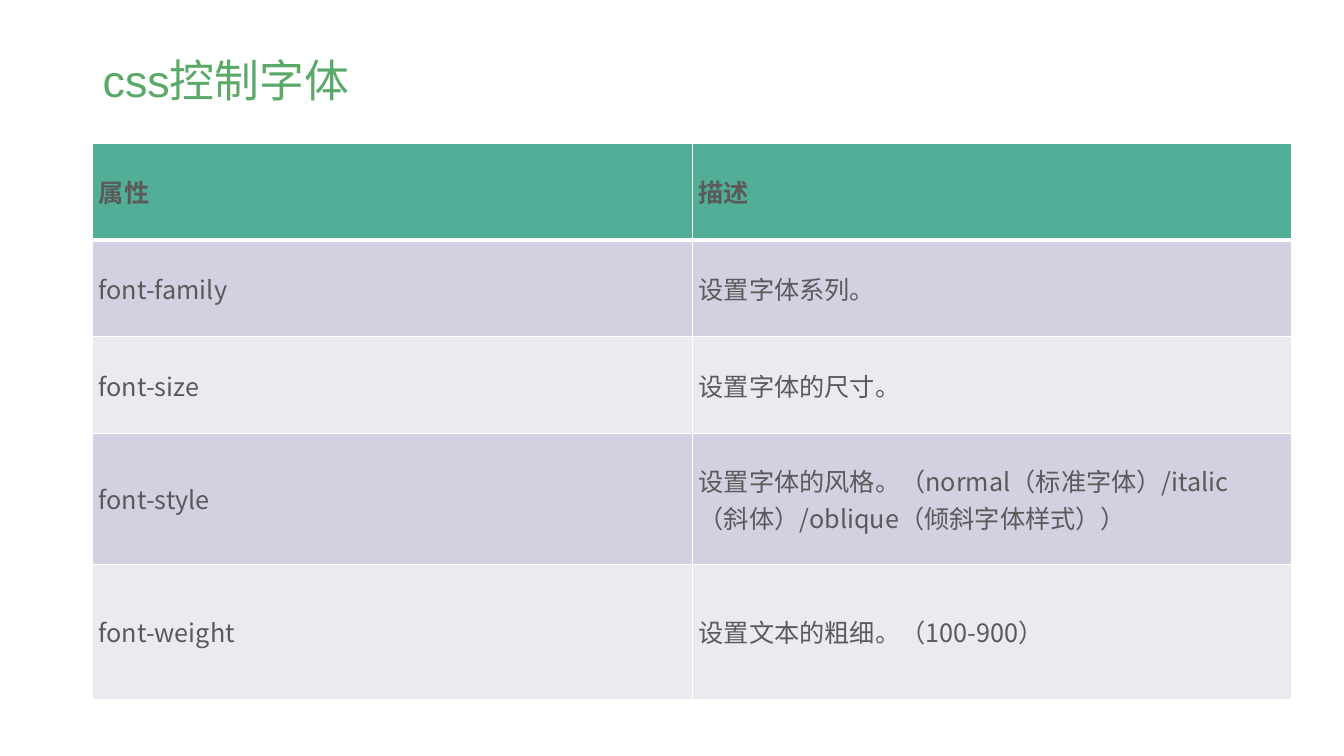
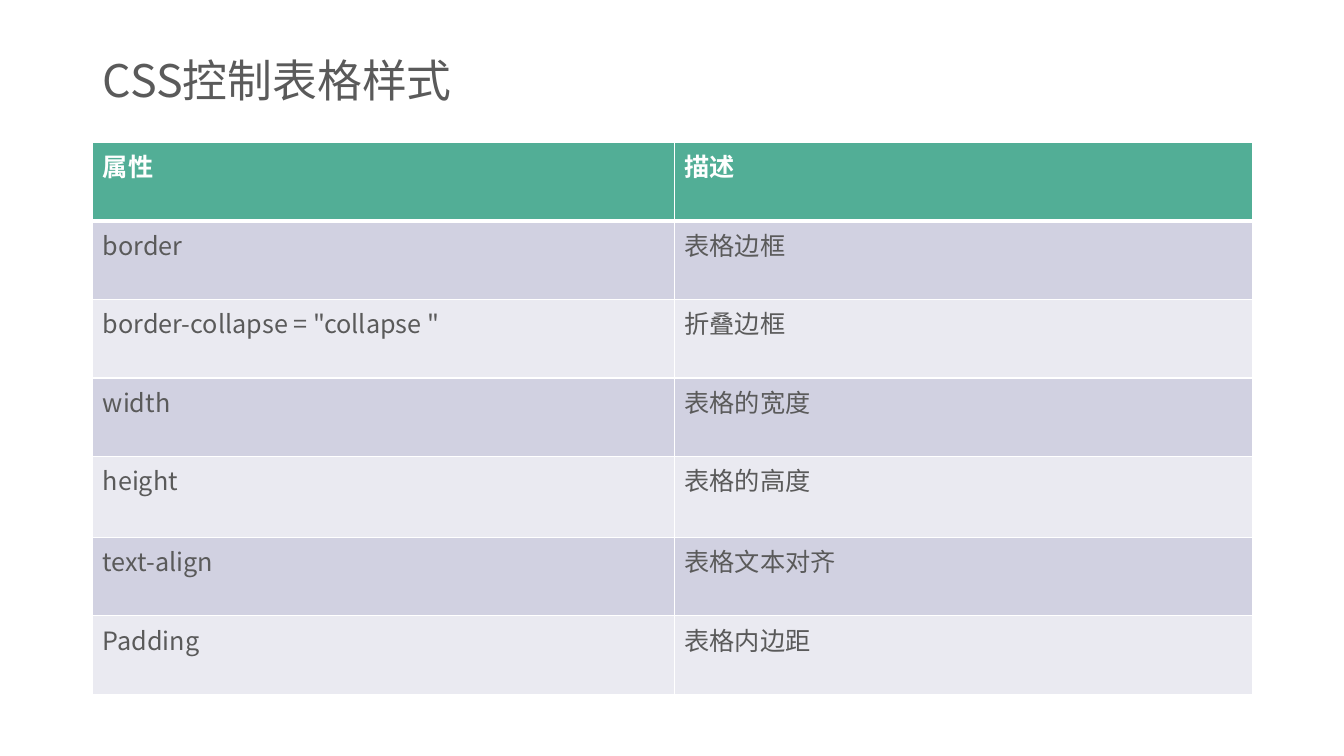
from lxml import etree
from pptx import Presentation
from pptx import util as u
from pptx.dml.color import RGBColor
from pptx.enum import text
from pptx.oxml import ns

PX = 9144
SANS = "Noto Sans CJK SC"
GREEN, TEAL, GREY, WHITE = "5BA968", "52AE96", "5A5A5A", "FFFFFF"
BANDS = ("D1D1E1", "EAEAF1")
LEFT = 92
TITLE_AREA = (LEFT, 40, 1150, 85)

FONT_ROWS = [
    ("属性", "描述"),
    ("font-family", "设置字体系列。"),
    ("font-size", "设置字体的尺寸。"),
    ("font-style", "设置字体的风格。（normal（标准字体）/italic（斜体）/oblique（倾斜字体样式））"),
    ("font-weight", "设置文本的粗细。（100-900）"),
]
TABLE_ROWS = [
    ("属性", "描述"),
    ("border", "表格边框"),
    ("border-collapse = \"collapse \"", "折叠边框"),
    ("width", "表格的宽度"),
    ("height", "表格的高度"),
    ("text-align", "表格文本对齐"),
    ("Padding", "表格内边距"),
]


def px(*lengths):
    return [u.Emu(length * PX) for length in lengths]


def color(value):
    return RGBColor.from_string(value)


def set_all(target, values):
    for name, value in values.items():
        setattr(target, name, value)


def write(frame, words, size, ink, latin=SANS, bold=False):
    para = frame.paragraphs[0]
    span = para.add_run()
    span.text = words
    set_all(span.font, {"size": u.Pt(size), "name": latin, "bold": bold})
    span.font.color.rgb = color(ink)
    east_asian = etree.SubElement(span.font._element, ns.qn("a:ea"))
    east_asian.set("typeface", SANS)
    return para


def add_title(page, words, ink=GREY, latin=SANS):
    frame = page.shapes.add_textbox(*px(*TITLE_AREA)).text_frame
    set_all(frame, {"word_wrap": True, "vertical_anchor": text.MSO_ANCHOR.MIDDLE})
    write(frame, words, 32, ink, latin).line_spacing = 0.9


def add_borders(cell, top, bottom):
    properties = cell._tc.get_or_add_tcPr()
    for side, points in {"L": 1, "R": 1, "T": top, "B": bottom}.items():
        line = etree.SubElement(properties, ns.qn(f"a:ln{side}"), w=str(u.Pt(points)))
        fill = etree.SubElement(line, ns.qn("a:solidFill"))
        etree.SubElement(fill, ns.qn("a:srgbClr"), val=WHITE)


def add_grid(page, top, rows, widths, heights, header_ink, cell_format):
    area = px(LEFT, top, sum(widths), sum(heights))
    table = page.shapes.add_table(len(rows), len(widths), *area).table
    for column, width in zip(table.columns, px(*widths)):
        column.width = width
    for index, (row, height) in enumerate(zip(table.rows, px(*heights))):
        row.height = height
        header = index == 0
        for cell, words in zip(row.cells, rows[index]):
            set_all(cell, cell_format)
            add_borders(cell, 3 if index == 1 else 1, 3 if header else 1)
            cell.fill.solid()
            cell.fill.fore_color.rgb = color(TEAL if header else BANDS[(index - 1) % 2])
            write(cell.text_frame, words, 18, header_ink if header else GREY, bold=header)


def cell_style(anchor, *margins):
    sides = ("margin_left", "margin_top", "margin_right", "margin_bottom")
    return {"vertical_anchor": anchor, **dict(zip(sides, px(*margins)))}


def main():
    deck = Presentation()
    set_all(deck, dict(zip(("slide_width", "slide_height"), px(1333, 750))))
    blank = deck.slide_layouts[6]

    page = deck.slides.add_slide(blank)
    add_title(page, "css控制字体", GREEN, "Arial")
    add_grid(page, 142, FONT_ROWS, (595, 594), (96, 96, 96, 130, 134), GREY,
             cell_style(text.MSO_ANCHOR.MIDDLE, 6, 6, 16, 6))

    page = deck.slides.add_slide(blank)
    add_title(page, "CSS控制表格样式")
    add_grid(page, 141, TABLE_ROWS, (577, 573), (78, 78, 78, 78, 80, 78, 78), WHITE,
             cell_style(text.MSO_ANCHOR.TOP, 10, 5, 10, 5))

    deck.save("out.pptx")


if __name__ == "__main__":
    main()
